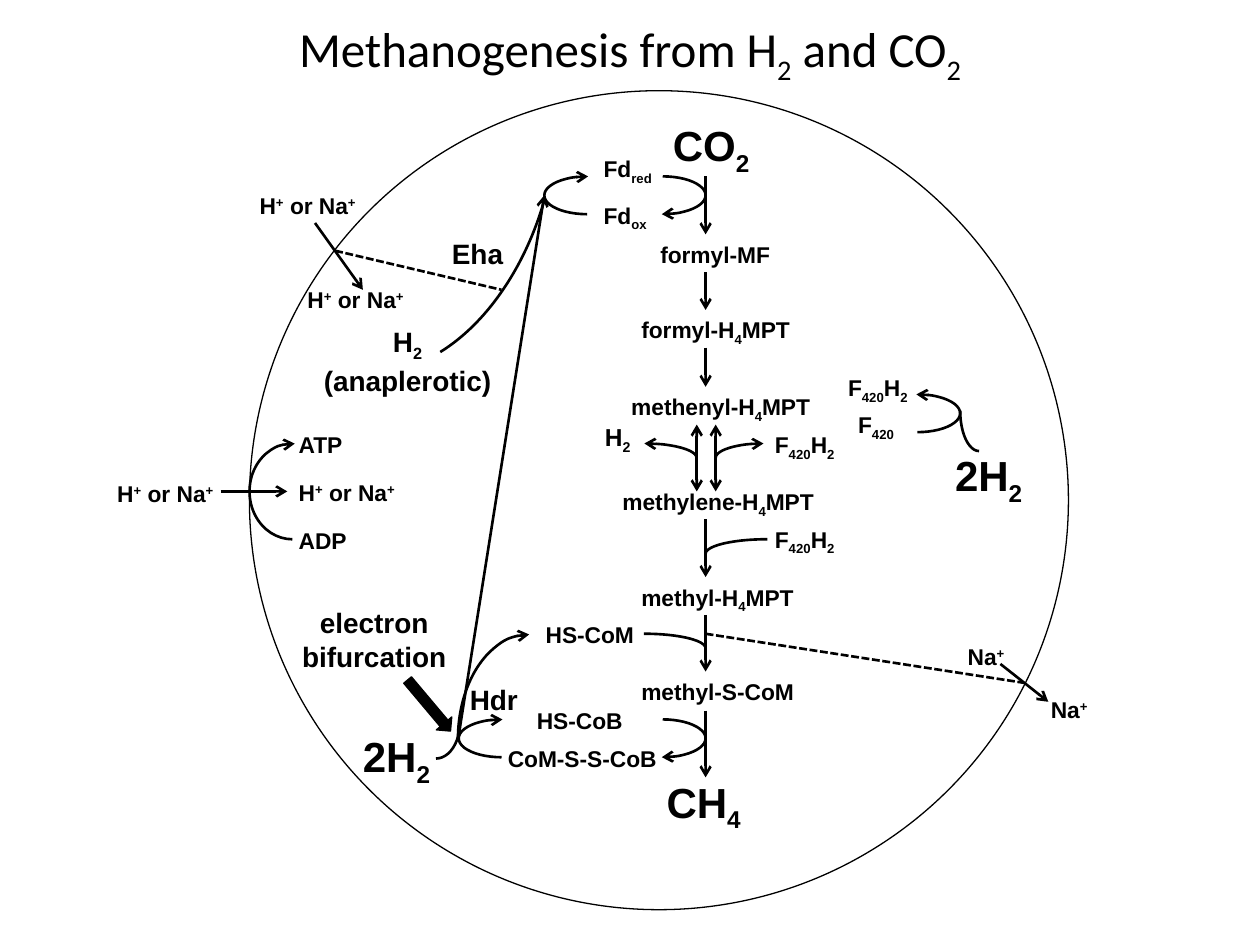
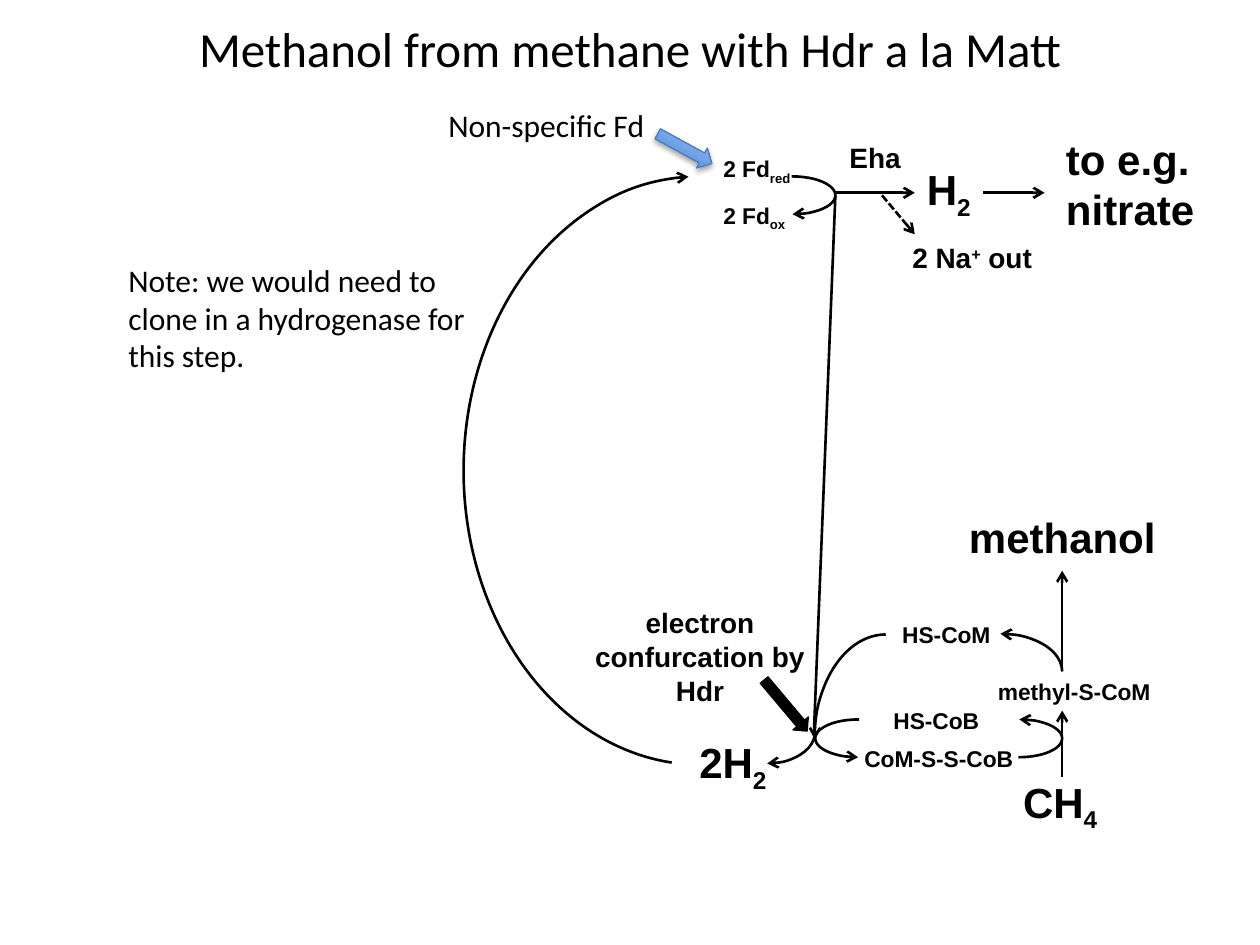
from lxml import etree
from pptx import Presentation
from pptx.dml.color import RGBColor
from pptx.enum.dml import MSO_LINE
from pptx.enum.shapes import MSO_CONNECTOR, MSO_SHAPE
from pptx.enum.text import MSO_AUTO_SIZE, PP_ALIGN
from pptx.oxml.ns import qn
from pptx.util import Inches, Pt

BLACK = RGBColor(0x00, 0x00, 0x00)
WHITE = RGBColor(0xFF, 0xFF, 0xFF)
DEEP_BLUE = RGBColor(0x3F, 0x80, 0xCE)
PALE_BLUE = RGBColor(0xA4, 0xC4, 0xFF)
EDGE_BLUE = RGBColor(0x4B, 0x7E, 0xBC)

HALF_SWEEP = (162, 55.75)
BASELINES = {"_": "-25000", "^": "30000"}
PROTON = "H|^+| or Na|^+"
SODIUM = "Na|^+"
F420 = "F|_420"
F420_REDUCED = "F|_420|H|_2"


class Pathway:
    def __init__(self, presentation):
        self.presentation = presentation
        self.slide = None

    def new_slide(self, title):
        layout = self.presentation.slide_layouts[6]
        self.slide = self.presentation.slides.add_slide(layout)
        self.text(title, 0.14, 0.1, 9.72, 0.57, 28, "Calibri", centred=True)

    def text(self, content, left, top, width, height=0.31, size=13, font="Arial", centred=False):
        box = self.slide.shapes.add_textbox(
            Inches(left), Inches(top), Inches(width), Inches(height))
        frame = box.text_frame
        frame.word_wrap = True
        frame.auto_size = MSO_AUTO_SIZE.SHAPE_TO_FIT_TEXT
        if font == "Arial":
            frame.margin_left = frame.margin_right = Inches(0.09)
        paragraph = frame.paragraphs[0]
        paragraph.alignment = PP_ALIGN.CENTER if centred else PP_ALIGN.LEFT
        for number, line in enumerate(content.split("\n")):
            if number:
                paragraph.add_line_break()
            for piece in line.split("|"):
                run = paragraph.add_run()
                run.text = piece.lstrip("_^")
                run.font.name = font
                run.font.size = Pt(size)
                run.font.bold = font == "Arial"
                run.font.color.rgb = BLACK
                if piece[0] in BASELINES:
                    run._r.get_or_add_rPr().set("baseline", BASELINES[piece[0]])

    def heading(self, content, left, top, width, height=0.36):
        self.text(content, left, top, width, height, 16, centred=True)

    def compound(self, content, left, top, width, height=0.5):
        self.text(content, left, top, width, height, 24)

    def stroke(self, shape, arrows="", colour=BLACK, weight=1.5, dashed=False):
        shape.line.color.rgb = colour
        shape.line.width = Pt(weight)
        if dashed:
            shape.line.dash_style = MSO_LINE.SQUARE_DOT
        outline = shape._element.spPr.find(qn("a:ln"))
        for end in arrows.split():
            etree.SubElement(outline, qn(f"a:{end}End")).set("type", "arrow")

    def line(self, x1, y1, x2, y2, arrows="", dashed=False):
        connector = self.slide.shapes.add_connector(
            MSO_CONNECTOR.STRAIGHT, Inches(x1), Inches(y1), Inches(x2), Inches(y2))
        self.stroke(connector, arrows, dashed=dashed)
        etree.SubElement(connector._element.spPr, qn("a:effectLst"))

    def shape(self, kind, left, top, width, height, rotation=0, fill=None):
        shape = self.slide.shapes.add_shape(
            kind, Inches(left), Inches(top), Inches(width), Inches(height))
        shape.rotation = rotation
        shape.shadow.inherit = False
        if fill is None:
            shape.fill.background()
        else:
            shape.fill.solid()
            shape.fill.fore_color.rgb = fill
        return shape

    def arc(self, left, top, width, height, arrows="", rotation=0, flip=None,
            sweep=None, fill=None):
        arc = self.shape(MSO_SHAPE.ARC, left, top, width, height, rotation, fill)
        if sweep:
            arc.adjustments[0], arc.adjustments[1] = sweep
        if flip:
            arc._element.spPr.find(qn("a:xfrm")).set(flip, "1")
        self.stroke(arc, arrows)

    def half_arc(self, left, top, arrows, rotation=0, flip=None, height=0.3):
        self.arc(left, top, 0.68, height, arrows, rotation, flip, HALF_SWEEP, WHITE)

    def circle(self, left, top, diameter):
        circle = self.shape(MSO_SHAPE.OVAL, left, top, diameter, diameter)
        self.stroke(circle, weight=0.75)

    def black_arrow(self, left, top):
        arrow = self.shape(MSO_SHAPE.RIGHT_ARROW, left, top, 0.53, 0.16, 49.9, BLACK)
        self.stroke(arrow, weight=0.75)

    def blue_arrow(self, left, top):
        arrow = self.shape(MSO_SHAPE.RIGHT_ARROW, left, top, 0.49, 0.18, 28.7)
        arrow.fill.gradient()
        arrow.fill.gradient_angle = 90
        for stop, colour, position in zip(
                arrow.fill.gradient_stops, (DEEP_BLUE, PALE_BLUE), (0, 1)):
            stop.color.rgb = colour
            stop.position = position
        self.stroke(arrow, colour=EDGE_BLUE, weight=0.75)
        effects = arrow._element.spPr.find(qn("a:effectLst"))
        shadow = etree.SubElement(
            effects, qn("a:outerShdw"), blurRad=str(Pt(3.1)), dist=str(Pt(1.8)),
            dir="5400000", rotWithShape="0")
        colour = etree.SubElement(shadow, qn("a:srgbClr"), val=str(BLACK))
        etree.SubElement(colour, qn("a:alpha"), val="35000")

    def hdr_cycle(self, shift, arrows):
        self.half_arc(4.92 + shift, 5.71, arrows)
        self.half_arc(3.64 + shift, 5.71, arrows, 180)
        self.arc(3.37 + shift, 5.3, 1.66, 1.13, arrows, 270)
        self.line(5.6 + shift, 5.64, 5.6 + shift, 6.17, arrows)
        self.text("methyl-S-CoM", 5 + shift, 5.33, 1.74)
        self.text("HS-CoM", 4.24 + shift, 4.88, 0.91)
        self.text("HS-CoB", 4.17 + shift, 5.56, 0.91)
        self.text("CoM-S-S-CoB", 3.94 + shift, 5.86, 1.4)
        self.compound("CH|_4", 5.2 + shift, 6.11, 0.83)
        self.black_arrow(3.14 + shift, 5.52)

    def ferredoxin(self, left, prefix=""):
        self.text(prefix + "Fd|_red", left, 1.18, 0.91)
        self.text(prefix + "Fd|_ox", left, 1.55, 0.91)


def build_methanogenesis(pathway):
    pathway.new_slide("Methanogenesis from H|_2| and CO|_2")
    pathway.circle(1.98, 0.72, 6.5)

    for top, bottom in ((1.4, 1.86), (2.16, 2.46), (2.76, 3.07), (4.12, 4.58), (4.88, 5.33)):
        pathway.line(5.6, top, 5.6, bottom, "tail")
    for x in (5.53, 5.68):
        pathway.line(x, 3.37, x, 3.9, "head tail")
    for name, left, top, width in (
            ("formyl-MF", 5.15, 1.86, 1.21),
            ("formyl-H|_4|MPT", 5, 2.46, 1.51),
            ("methenyl-H|_4|MPT", 4.92, 3.07, 1.74),
            ("methylene-H|_4|MPT", 4.85, 3.82, 1.74),
            ("methyl-H|_4|MPT", 5, 4.58, 1.74)):
        pathway.text(name, left, top, width)
    pathway.compound("CO|_2", 5.25, 0.9, 1.06)

    pathway.half_arc(4.92, 1.4, "tail")
    pathway.half_arc(4.32, 1.4, "tail", 180)
    pathway.ferredoxin(4.7)

    pathway.arc(4.7, 3.52, 0.83, 0.23, "head")
    pathway.arc(5.68, 3.52, 0.76, 0.23, "head", flip="flipH")
    pathway.arc(5.6, 4.28, 0.98, 0.23, flip="flipH")
    pathway.arc(4.62, 5.03, 0.98, 0.23)
    pathway.text("H|_2", 4.71, 3.3, 0.6, 0.33, 14)
    for left, top in ((6.06, 3.37), (6.06, 4.12), (6.64, 2.92)):
        pathway.text(F420_REDUCED, left, top, 0.91)

    pathway.half_arc(6.94, 3.13, "tail", 180, "flipH")
    pathway.arc(7.62, 2.94, 0.3, 0.64, rotation=180)
    pathway.text(F420, 6.72, 3.21, 0.91)
    pathway.compound("2H|_2", 7.49, 3.52, 1)

    pathway.half_arc(1.98, 3.52, "tail", 180, height=0.76)
    pathway.line(1.75, 3.9, 2.28, 3.9, "tail")
    pathway.text("ATP", 2.28, 3.37, 0.68)
    pathway.text("ADP", 2.28, 4.13, 0.68)
    for left, top in ((0.84, 3.76), (2.28, 3.75), (1.97, 1.47), (2.35, 2.22)):
        pathway.text(PROTON, left, top, 0.98)

    pathway.line(5.6, 5.03, 8.13, 5.42, dashed=True)
    pathway.line(7.94, 5.27, 8.32, 5.57, "tail")
    pathway.text(SODIUM, 7.59, 5.05, 0.6)
    pathway.text(SODIUM, 8.25, 5.47, 0.6)

    pathway.arc(2.06, -0.55, 2.32, 3.53, rotation=193.9, flip="flipH", sweep=(176.26, 213.52))
    pathway.line(2.66, 1.99, 3.98, 2.3, dashed=True)
    pathway.line(2.5, 1.77, 2.88, 2.3, "tail")
    pathway.heading("H|_2\n(anaplerotic)", 2.42, 2.53, 1.63, 0.63)
    pathway.heading("Eha", 3.09, 1.83, 1.4)

    pathway.hdr_cycle(0, "tail")
    pathway.line(3.64, 5.84, 4.32, 1.55, "tail")
    pathway.arc(3.27, 5.45, 0.38, 0.57, rotation=180, flip="flipH")
    pathway.compound("2H|_2", 2.79, 5.75, 0.98)
    pathway.heading("electron\nbifurcation", 2.27, 4.76, 1.4, 0.63)
    pathway.heading("Hdr", 3.22, 5.37, 1.4)


def build_methanol(pathway):
    pathway.new_slide("Methanol from methane with Hdr a la Matt")
    pathway.hdr_cycle(2.83, "head")
    pathway.arc(7.45, 5.03, 0.98, 0.6, "head")
    pathway.line(8.43, 5.31, 8.43, 4.53, "tail")
    pathway.compound("methanol", 7.6, 4.01, 1.95)

    pathway.half_arc(5.95, 1.4, "head", 180, "flipH")
    pathway.ferredoxin(5.65, "2 ")
    pathway.line(6.46, 5.81, 6.63, 1.55)
    pathway.arc(5.71, 5.56, 0.76, 0.5, "head", flip="flipV")
    pathway.arc(3.68, 1.4, 3.76, 4.67, "head", flip="flipH", sweep=(163.4, 50.62))
    pathway.compound("2H|_2", 5.46, 5.8, 0.98)
    pathway.heading("electron\nconfurcation by Hdr", 4.61, 4.76, 1.89, 0.9)

    pathway.line(6.63, 1.53, 7.26, 1.53, "tail")
    pathway.line(7.8, 1.53, 8.29, 1.53, "tail")
    pathway.line(7, 1.55, 7.26, 1.86, "tail", dashed=True)
    pathway.text("H|_2", 7.01, 1.25, 1.04, 0.5, 24, centred=True)
    pathway.compound("to e.g. nitrate", 8.37, 1.01, 1.59, 0.9)
    pathway.heading("Eha", 6, 1.07, 1.89)
    pathway.heading("2 Na|^+| out", 6.77, 1.86, 1.89)

    pathway.text("Note: we would need to clone in a hydrogenase for this step.",
                 0.92, 2.02, 3.07, 1.01, 18, "Calibri")
    pathway.text("Non-specific Fd", 3.46, 0.79, 3.07, 0.4, 18, "Calibri")
    pathway.blue_arrow(5.19, 1.09)


def main():
    presentation = Presentation()
    presentation.slide_width = Inches(10)
    presentation.slide_height = Inches(7.5)
    pathway = Pathway(presentation)
    build_methanogenesis(pathway)
    build_methanol(pathway)
    presentation.save("out.pptx")


if __name__ == "__main__":
    main()
